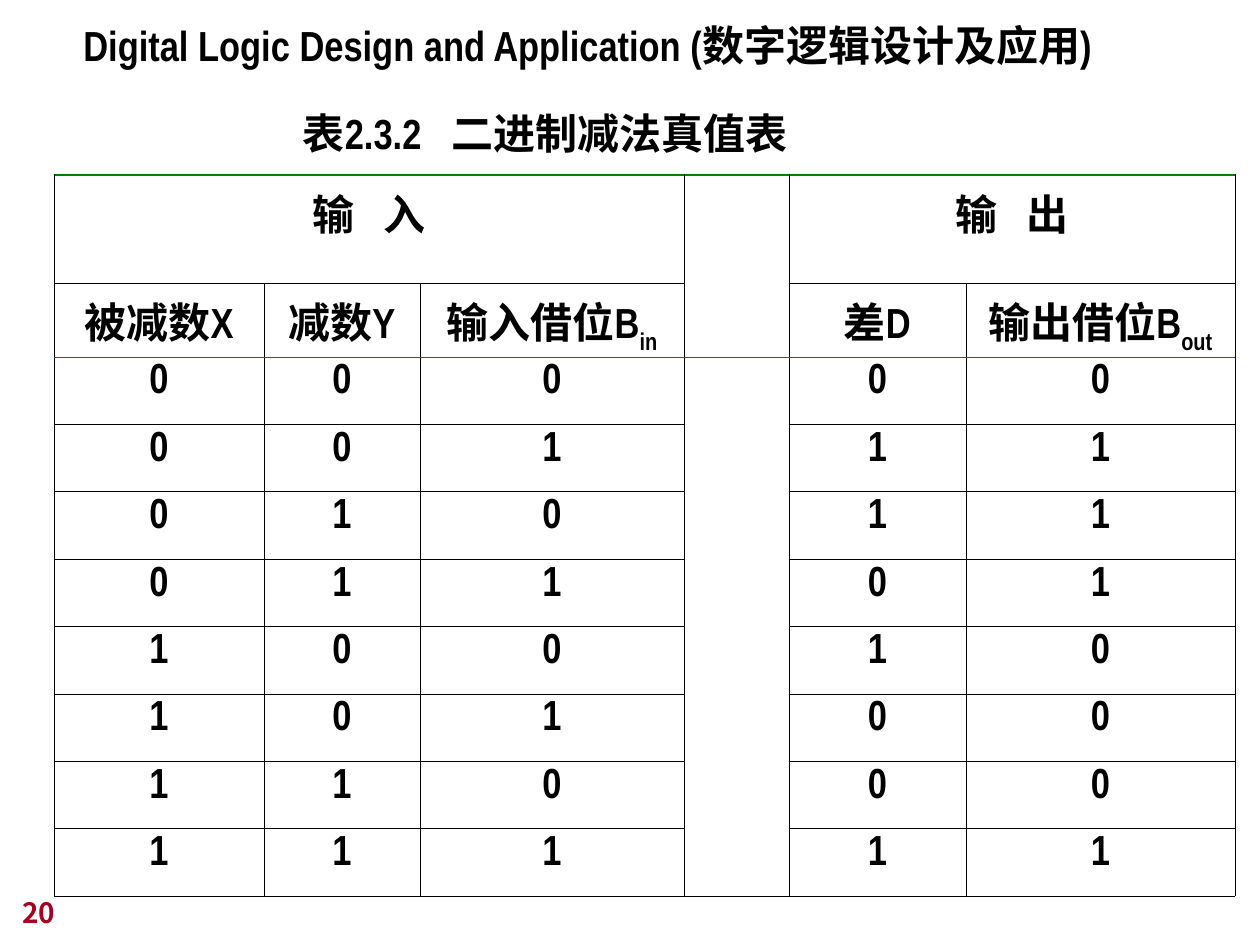
from lxml.etree import SubElement
from pptx import Presentation
from pptx.dml.color import RGBColor
from pptx.enum.text import MSO_ANCHOR as Anchor, MSO_AUTO_SIZE as AutoSize, PP_ALIGN as Align
from pptx.oxml.ns import qn
from pptx.util import Pt

NARROW, SERIF, SANS = "Arial Narrow", "Times New Roman", "Noto Sans CJK JP"
BLACK, GREEN, RED = "000000", "008000", "A50021"
NO_STYLE = "{2D5ABB26-0587-4C30-8999-92F81FD0307C}"
WIDE, SUBSCRIPT = {"spc": "1150"}, {"baseline": "-30000"}

TITLE = [("Digital Logic Design and Application (数字逻辑设计及应用)", NARROW, {})]
CAPTION = [
    ("表", SERIF, {}),
    ("2.3.2", NARROW, {}),
    (" ", NARROW, WIDE),
    ("二进制减法真值表", SERIF, {}),
]
NUMBER = [("20", SANS, {})]
GROUPS = {0: "输入", 4: "输出"}
HEADINGS = {
    0: ("被减数", "X", ""),
    1: ("减数", "Y", ""),
    2: ("输入借位", "B", "in"),
    4: ("差", "D", ""),
    5: ("输出借位", "B", "out"),
}
TRUTH = ["000 00", "001 11", "010 11", "011 01", "100 10", "101 00", "110 00", "111 11"]
MERGES = [(0, 0, 0, 2), (0, 3, 1, 3), (0, 4, 0, 5), (2, 3, 9, 3)]

COLUMNS = [210, 156, 264, 105, 177, 269]
HEADER_ROWS = [108, 74]
BODY_HEIGHT = 539
THIN = (BLACK, 0.34)
EDGES = {0: (GREEN, 0.96), 1: (BLACK, 0.45), 2: (GREEN, 0.45)}


def px(length):
    return round(length * 914400 / 126)


def color(value):
    return RGBColor.from_string(value)


def write(frame, spans, size=24, ink=BLACK, align=Align.LEFT):
    para = frame.paragraphs[0]
    para.alignment = align
    para.font.size, para.font.bold = Pt(size), True
    para.font.color.rgb = color(ink)
    for text, face, extras in spans:
        span = para.add_run()
        span.text = text
        span.font.name = face
        for name, value in extras.items():
            span.font._element.set(name, value)


def add_text(page, area, spans, anchor=Anchor.TOP, wrap=False, **style):
    box = page.shapes.add_textbox(*map(px, area))
    frame = box.text_frame
    frame.word_wrap = wrap
    frame.auto_size = AutoSize.NONE if wrap else AutoSize.SHAPE_TO_FIT_TEXT
    frame.vertical_anchor = anchor
    write(frame, spans, **style)


def set_borders(cell, top, bottom):
    properties = cell._tc.get_or_add_tcPr()
    sides = [("a:lnL", THIN), ("a:lnR", THIN), ("a:lnT", top), ("a:lnB", bottom)]
    for place, (tag, (ink, width)) in enumerate(sides):
        line = SubElement(properties, qn(tag), w=str(Pt(width)))
        SubElement(SubElement(line, qn("a:solidFill")), qn("a:srgbClr"), val=ink)
        properties.insert(place, line)


def cell_spans(row, column):
    if row == 0 and column in GROUPS:
        first, second = GROUPS[column]
        return [(first, SERIF, {}), (" ", SERIF, WIDE), (second, SERIF, {})]
    if row == 1 and column in HEADINGS:
        name, symbol, index = HEADINGS[column]
        spans = [(name, SERIF, {}), (symbol, NARROW, {})]
        return spans + [(index, NARROW, SUBSCRIPT)] if index else spans
    if row > 1 and column != 3:
        return [(TRUTH[row - 2][column], NARROW, {})]
    return []


def add_truth_table(page):
    row_count = len(HEADER_ROWS) + len(TRUTH)
    height = sum(HEADER_ROWS) + BODY_HEIGHT
    area = map(px, (54, 175, sum(COLUMNS), height))
    table = page.shapes.add_table(row_count, len(COLUMNS), *area).table
    table.first_row = table.horz_banding = False
    table._tbl.tblPr.find(qn("a:tableStyleId")).text = NO_STYLE
    for column, width in zip(table.columns, COLUMNS):
        column.width = px(width)
    heights = HEADER_ROWS + [BODY_HEIGHT / len(TRUTH)] * len(TRUTH)
    for row, row_height in zip(table.rows, heights):
        row.height = px(row_height)
    for top, left, bottom, right in MERGES:
        table.cell(top, left).merge(table.cell(bottom, right))
    for row in range(row_count):
        for column in range(len(COLUMNS)):
            cell = table.cell(row, column)
            cell.fill.background()
            if cell.is_spanned:
                continue
            end = row + (cell.span_height if cell.is_merge_origin else 1)
            set_borders(cell, EDGES.get(row, THIN), EDGES.get(end, THIN))
            spans = cell_spans(row, column)
            if spans:
                write(cell.text_frame, spans, align=Align.CENTER)


def main():
    """Build the binary subtraction truth table slide."""
    deck = Presentation()
    deck.slide_width, deck.slide_height = px(1260), px(945)
    page = deck.slides.add_slide(deck.slide_layouts[6])
    add_text(page, (71, 13, 1055, 63), TITLE)
    add_text(page, (275, 101, 540, 63), CAPTION, Anchor.MIDDLE, align=Align.CENTER)
    add_truth_table(page)
    add_text(page, (10, 872, 262, 63), NUMBER, Anchor.BOTTOM, wrap=True, size=16, ink=RED)
    deck.save("out.pptx")


if __name__ == "__main__":
    main()
